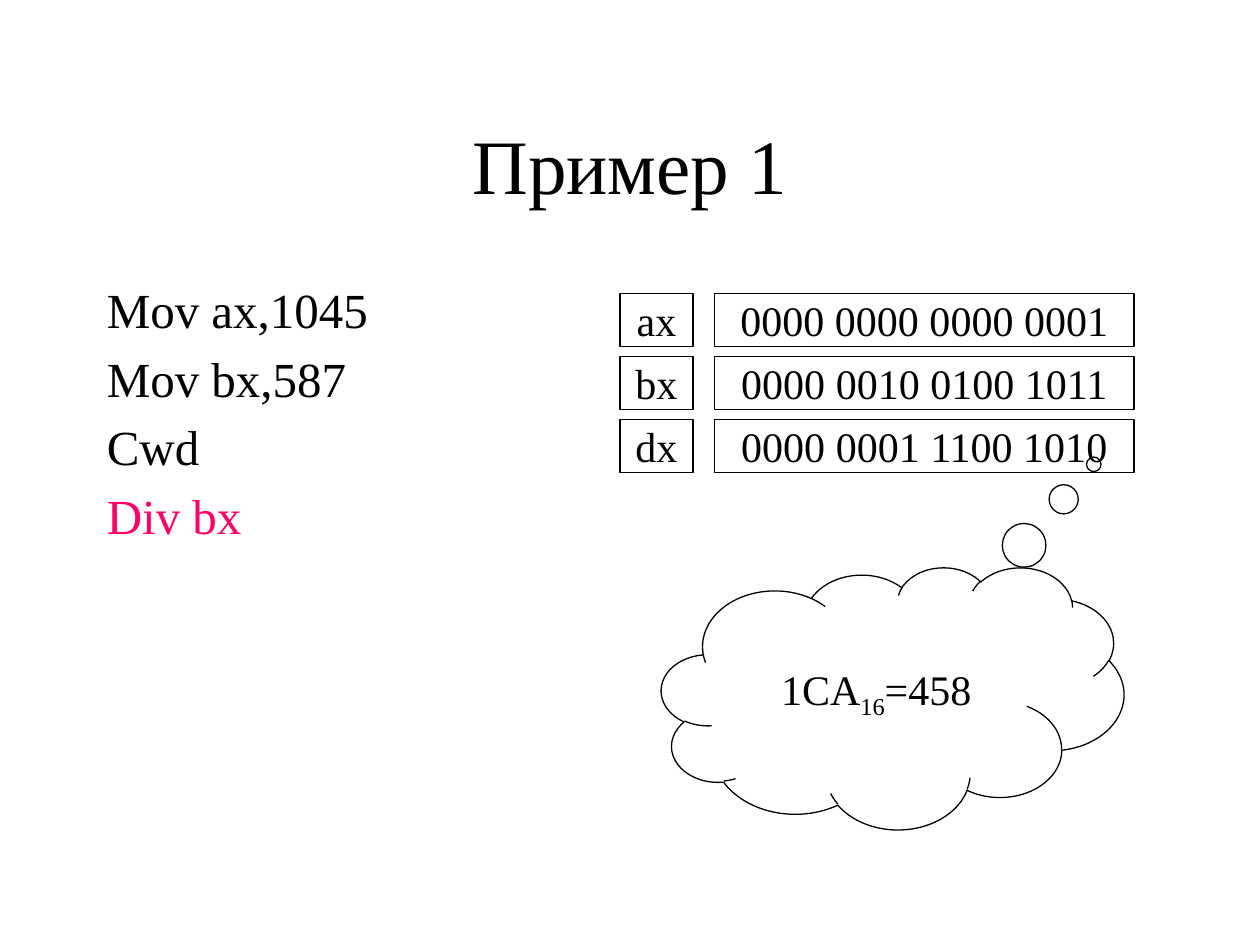
import pptx
import pptx.util
import pptx.dml.color
import pptx.enum.shapes
import pptx.enum.text
import lxml.etree
from pptx.oxml.ns import qn

Inches, Pt = pptx.util.Inches, pptx.util.Pt
RGB = pptx.dml.color.RGBColor
SHAPE = pptx.enum.shapes.MSO_SHAPE
ALIGN = pptx.enum.text.PP_ALIGN
ANCHOR = pptx.enum.text.MSO_ANCHOR

BLACK = RGB(0x00, 0x00, 0x00)
PINK = RGB(0xFF, 0x00, 0x66)
FONT = "Times New Roman"

TITLE = "Пример 1"
CODE = [
    ("Mov ax,1045", BLACK),
    ("Mov bx,587", BLACK),
    ("Cwd", BLACK),
    ("Div bx", PINK),
]
REGS = [
    ("ax", "0000 0000 0000 0001"),
    ("bx", "0000 0010 0100 1011"),
    ("dx", "0000 0001 1100 1010"),
]
RESULT = [("1CA", 0), ("16", -25), ("=458", 0)]  # text, baseline shift in %

REG_TOP, REG_STEP, REG_HIGH = 2.33, 0.5, 0.42
NAME_LEFT, NAME_WIDE = 4.92, 0.58
BITS_LEFT, BITS_WIDE = 5.67, 3.33


def write(para, text, size=24, color=BLACK, shift=0):
    run = para.add_run()
    run.text = text
    run.font.name = FONT
    run.font.size = Pt(size)
    run.font.color.rgb = color
    if shift:
        run.font._element.set("baseline", str(shift * 1000))


def space(para, percent):
    """Set the space before a paragraph in percent of its line."""
    before = lxml.etree.SubElement(para._p.get_or_add_pPr(), qn("a:spcBef"))
    lxml.etree.SubElement(before, qn("a:spcPct")).set("val", str(percent * 1000))


def add_text(slide, box, anchor):
    frame = slide.shapes.add_textbox(*map(Inches, box)).text_frame
    frame.word_wrap = True
    frame.vertical_anchor = anchor
    return frame


def outline(slide, kind, box, parts, wrap):
    """Add an unfilled shape with centred text made of (text, shift) parts."""
    shape = slide.shapes.add_shape(kind, *map(Inches, box))
    shape.shadow.inherit = False
    shape.fill.background()
    shape.line.color.rgb = BLACK
    shape.line.width = Pt(0.75)
    frame = shape.text_frame
    frame.word_wrap = wrap
    frame.vertical_anchor = ANCHOR.MIDDLE
    para = frame.paragraphs[0]
    para.alignment = ALIGN.CENTER
    for text, shift in parts:
        write(para, text, shift=shift)
    return shape


def main():
    deck = pptx.Presentation()
    deck.slide_width, deck.slide_height = Inches(10), Inches(7.5)
    slide = deck.slides.add_slide(deck.slide_layouts[6])

    head = add_text(slide, (0.75, 0.67, 8.5, 1.25), ANCHOR.MIDDLE).paragraphs[0]
    head.alignment = ALIGN.CENTER
    write(head, TITLE, size=44)

    body = add_text(slide, (0.75, 2.17, 4.17, 4.5), ANCHOR.TOP)
    for i, (text, color) in enumerate(CODE):
        para = body.add_paragraph() if i else body.paragraphs[0]
        space(para, 20)
        write(para, text, size=28, color=color)

    for i, (name, bits) in enumerate(REGS):
        top = REG_TOP + i * REG_STEP
        for text, left, wide in ((bits, BITS_LEFT, BITS_WIDE),
                                 (name, NAME_LEFT, NAME_WIDE)):
            box = (left, top, wide, REG_HIGH)
            outline(slide, SHAPE.RECTANGLE, box, [(text, 0)], False)

    cloud = outline(slide, SHAPE.CLOUD_CALLOUT, (5.25, 4.5, 3.67, 2.08), RESULT, True)
    cloud.adjustments[0] = 0.435
    cloud.adjustments[1] = -0.892

    deck.save("out.pptx")


if __name__ == "__main__":
    main()
